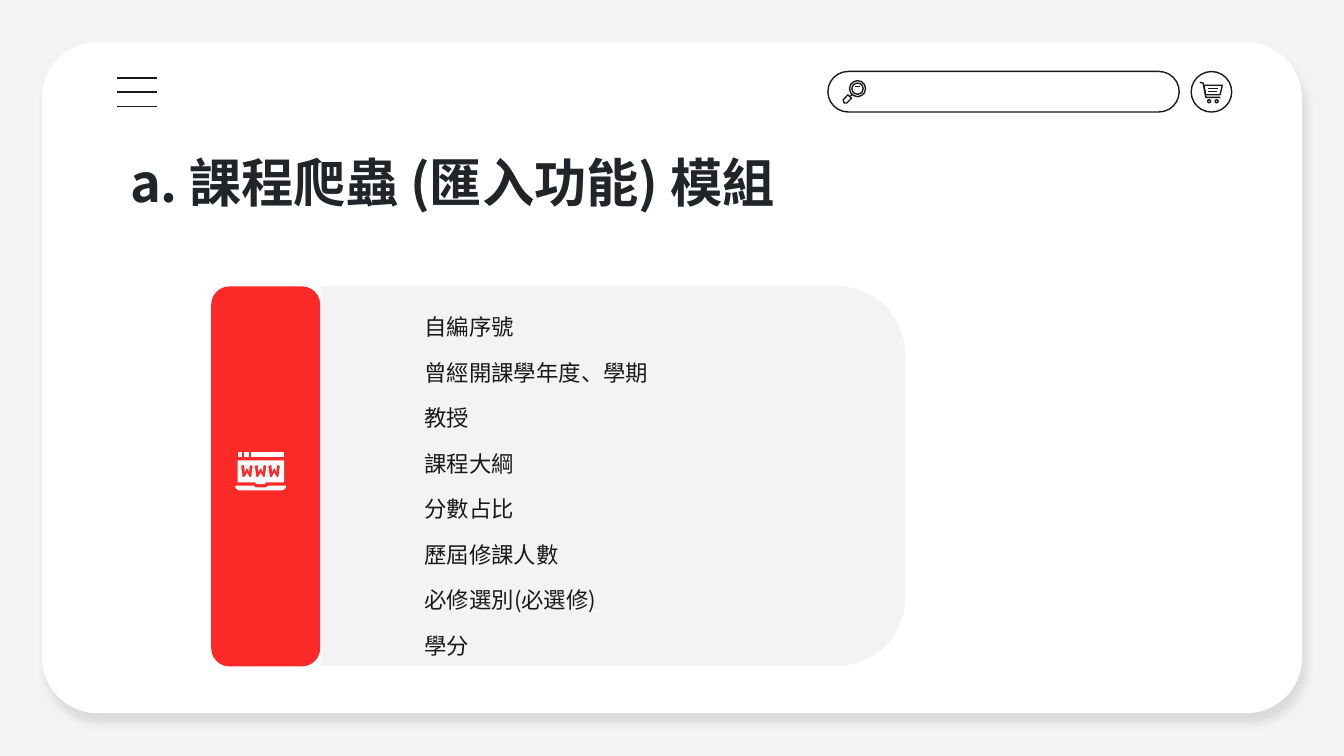
from lxml.etree import SubElement
from pptx import Presentation
from pptx.dml.color import RGBColor
from pptx.enum.shapes import MSO_CONNECTOR, MSO_SHAPE
from pptx.enum.text import MSO_ANCHOR, PP_ALIGN
from pptx.oxml.ns import qn
from pptx.util import Pt

TITLE = "a. 課程爬蟲 (匯入功能) 模組"
FIELDS = ["自編序號", "曾經開課學年度、學期", "教授", "課程大綱", "分數占比",
          "歷屆修課人數", "必修選別(必選修)", "學分"]
FONT = "Noto Sans CJK TC"

GREY = RGBColor(0xF3, 0xF3, 0xF3)
WHITE = RGBColor(0xFF, 0xFF, 0xFF)
BLACK = RGBColor(0x19, 0x19, 0x19)
TITLE_COLOR = RGBColor(0x21, 0x25, 0x29)
RED = RGBColor(0xFC, 0x29, 0x29)

MENU_LINES = [(62.6, y, 84.2, y) for y in (41.8, 49.4, 57)]
LENS_CENTER = (459.4, 47.5)
LENS_RADII = (4.3, 3)
LENS_GLINT = (458.2, 46.4, 460.6, 46.4)
LENS_NECK = (455.6, 51.5, 456.5, 50.6)
LENS_HANDLE = [(454.2, 50.8), (456.2, 52.6), (453.6, 55.2), (452.2, 55.2), (451.7, 53.5)]
CART_FRAME = [(642.8, 44.1), (644.6, 44.6), (646, 52.2), (653.8, 52.2)]
CART_BASKET = [(644.9, 45.7), (654.8, 45.7), (653.6, 50.8), (645.9, 50.8)]
CART_LINES = [(647.2, 47.5, 652.4, 47.5), (647.4, 49.2, 652, 49.2)]
CART_WHEELS = [(647.8, 54.3), (651.8, 54.3)]

BROWSER_BAR = [(134.6, 242.4), (134.6, 245), (152.2, 245), (152.2, 242.4)]
BROWSER_BUTTONS = [[(x, 242.4), (x, 245), (x + 2.3, 245), (x + 2.3, 242.4)]
                   for x in (127.3, 130.9)]
SCREEN = [(127.3, 246.7), (127.3, 258.5), (136.8, 258.5), (137.5, 259.4),
          (141.8, 259.4), (142.5, 258.5), (152.2, 258.5), (152.2, 246.7)]
LETTER_W = [(133.9, 249.1), (135.4, 249.6), (134.6, 255.6), (133.7, 255.6),
            (132.4, 253.2), (131.1, 255.6), (130, 255.6), (129.2, 249.6),
            (130.8, 249.1), (131.2, 252.8), (132.4, 250.6), (133.5, 252.8)]
LETTER_STEP = 7.3
KEYBOARD = [(126.1, 260.2), (126.1, 261.4), (127.8, 262.8), (151.4, 262.8),
            (153.1, 261.4), (153.1, 260.2), (143.3, 260.2), (142.6, 261.2),
            (136.9, 261.2), (136.1, 260.2)]

presentation = Presentation()
presentation.slide_width, presentation.slide_height = Pt(720), Pt(405)
slide = presentation.slides.add_slide(presentation.slide_layouts[6])
slide.background.fill.solid()
slide.background.fill.fore_color.rgb = GREY


def paint(shape, fill=None, line=None):
    shape.shadow.inherit = False
    if fill is None:
        shape.fill.background()
    else:
        shape.fill.solid()
        shape.fill.fore_color.rgb = fill
    if line is None:
        shape.line.fill.background()
    else:
        shape.line.color.rgb = line
        shape.line.width = Pt(0.75)
    return shape


def add_preset(kind, left, top, width, height, adjustments=(), fill=None, line=None):
    shape = slide.shapes.add_shape(kind, Pt(left), Pt(top), Pt(width), Pt(height))
    for index, value in enumerate(adjustments):
        shape.adjustments[index] = value
    return paint(shape, fill, line)


def add_circle(center, radius, line=BLACK):
    x, y = center
    return add_preset(MSO_SHAPE.OVAL, x - radius, y - radius, 2 * radius, 2 * radius, line=line)


def add_outline(contours, fill=None, line=None, close=True):
    contours = [[(Pt(x), Pt(y)) for x, y in contour] for contour in contours]
    builder = slide.shapes.build_freeform(*contours[0][0], scale=1.0)
    builder.add_line_segments(contours[0][1:], close=close)
    for contour in contours[1:]:
        builder.move_to(*contour[0])
        builder.add_line_segments(contour[1:], close=close)
    return paint(builder.convert_to_shape(), fill, line)


def add_line(ends):
    line = slide.shapes.add_connector(MSO_CONNECTOR.STRAIGHT, *[Pt(value) for value in ends])
    line.line.color.rgb = BLACK
    line.line.width = Pt(0.75)
    SubElement(line._element.spPr, qn("a:effectLst"))


def add_text(left, top, width, height):
    frame = slide.shapes.add_textbox(Pt(left), Pt(top), Pt(width), Pt(height)).text_frame
    frame.word_wrap = True
    frame.vertical_anchor = MSO_ANCHOR.TOP
    frame.margin_left = frame.margin_right = Pt(7.2)
    frame.margin_top = frame.margin_bottom = Pt(7.2)
    return frame


def add_run(paragraph, text, size, color, bold=False):
    paragraph.alignment = PP_ALIGN.LEFT
    run = paragraph.add_run()
    run.text = text
    run.font.size = Pt(size)
    run.font.bold = bold
    run.font.color.rgb = color
    run.font.name = FONT
    SubElement(run._r.get_or_add_rPr(), qn("a:ea"), typeface=FONT)


def add_soft_shadow(shape):
    effects = shape._element.spPr.find(qn("a:effectLst"))
    shadow = SubElement(effects, qn("a:outerShdw"), blurRad=str(Pt(4.5)), dist=str(Pt(6)),
                        dir=str(68 * 60000), algn="bl", rotWithShape="0")
    color = SubElement(shadow, qn("a:srgbClr"), val="000000")
    SubElement(color, qn("a:alpha"), val="10000")


panel = add_preset(MSO_SHAPE.ROUNDED_RECTANGLE, 22.5, 22.7, 675, 359.4, [0.083], WHITE)
add_soft_shadow(panel)

for ends in MENU_LINES:
    add_line(ends)

add_preset(MSO_SHAPE.ROUNDED_RECTANGLE, 443.5, 38.3, 188.2, 21.7, [0.5], line=BLACK)
for radius in LENS_RADII:
    add_circle(LENS_CENTER, radius)
add_line(LENS_GLINT)
add_line(LENS_NECK)
add_outline([LENS_HANDLE], line=BLACK)

add_circle((649, 49.2), 10.85)
add_outline([CART_FRAME], line=BLACK, close=False)
add_outline([CART_BASKET], line=BLACK)
for ends in CART_LINES:
    add_line(ends)
for center in CART_WHEELS:
    add_circle(center, 0.8)

title = add_text(62.6, 73.4, 384.5, 45.4)
add_run(title.paragraphs[0], TITLE, 28, TITLE_COLOR, bold=True)

card = add_preset(MSO_SHAPE.ROUND_2_SAME_RECTANGLE, 226.6, 98.4, 203.6, 313.2, [0, 0.181], GREY)
card.rotation = 270
add_preset(MSO_SHAPE.ROUNDED_RECTANGLE, 113.2, 153.4, 58.4, 203.6, [0.167], RED)

field_list = add_text(184.3, 160.6, 236.2, 192.2)
for index, field in enumerate(FIELDS):
    paragraph = field_list.add_paragraph() if index else field_list.paragraphs[0]
    paragraph._p.get_or_add_pPr().set("marL", str(Pt(36)))
    if index:
        paragraph.space_before = Pt(10)
    add_run(paragraph, field, 12, BLACK)

letters = [[(x + step * LETTER_STEP, y) for x, y in LETTER_W] for step in range(3)]
add_outline([BROWSER_BAR], WHITE)
for button in BROWSER_BUTTONS:
    add_outline([button], WHITE)
add_outline([SCREEN] + letters, WHITE)
add_outline([KEYBOARD], WHITE)

presentation.save("out.pptx")
